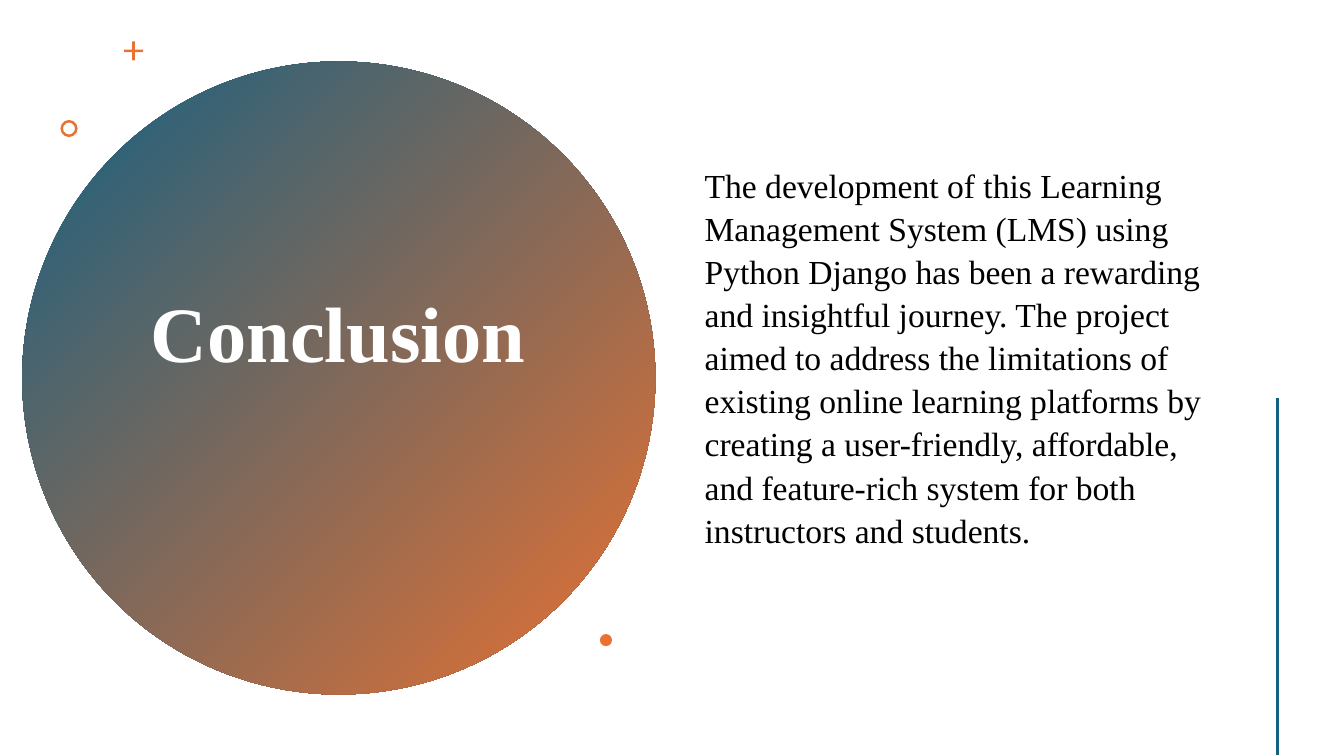
from pptx import Presentation
from pptx.dml.color import RGBColor
from pptx.enum.shapes import MSO_CONNECTOR, MSO_SHAPE
from pptx.enum.text import MSO_ANCHOR, PP_ALIGN
from pptx.oxml.ns import qn
from pptx.util import Inches, Pt
from lxml.etree import SubElement

BLUE, ORANGE, WHITE, BLACK = "156082", "E97132", "FFFFFF", "000000"
CONCLUSION = (
    "The development of this Learning Management System (LMS) using Python Django "
    "has been a rewarding and insightful journey. The project aimed to address the "
    "limitations of existing online learning platforms by creating a user-friendly, "
    "affordable, and feature-rich system for both instructors and students."
)


def color(value):
    return RGBColor.from_string(value)


def apply(target, formats):
    for name, value in formats.items():
        setattr(target, name, value)


class SlideBuilder:
    """Draws styled elements on the current slide."""

    font = "Times New Roman"

    def __init__(self, page):
        self.page = page

    def shape(self, kind, left, top, size, colors, adjustment=None):
        shape = self.page.shapes.add_shape(
            kind, Inches(left), Inches(top), Inches(size), Inches(size))
        shape.shadow.inherit = False
        shape.line.fill.background()
        if adjustment is not None:
            shape.adjustments[0] = adjustment
        if len(colors) == 1:
            shape.fill.solid()
            shape.fill.fore_color.rgb = color(colors[0])
            return
        shape.fill.gradient()
        shape.fill.gradient_angle = 315
        for stop, value in zip(shape.fill.gradient_stops, colors):
            stop.color.rgb = color(value)

    def text(self, words, left, top, width, height, bottom, ink, font, paragraph):
        box = self.page.shapes.add_textbox(
            Inches(left), Inches(top), Inches(width), Inches(height))
        frame = box.text_frame
        apply(frame, {"word_wrap": True, "vertical_anchor": MSO_ANCHOR.MIDDLE,
                      "margin_bottom": Inches(bottom)})
        para = frame.paragraphs[0]
        apply(para, paragraph)
        span = para.add_run()
        span.text = words
        apply(span.font, {"name": self.font, **font})
        span.font.color.rgb = color(ink)

    def line(self, left, top, right, bottom, ink, width):
        line = self.page.shapes.add_connector(
            MSO_CONNECTOR.STRAIGHT, Inches(left), Inches(top),
            Inches(right), Inches(bottom))
        line.line.color.rgb = color(ink)
        line.line.width = Pt(width)
        SubElement(line._element.spPr, qn("a:effectLst"))


def main():
    deck = Presentation()
    apply(deck, {"slide_width": Inches(13.33), "slide_height": Inches(7.5)})
    builder = SlideBuilder(deck.slides.add_slide(deck.slide_layouts[6]))

    builder.shape(MSO_SHAPE.OVAL, 0.22, 0.61, 6.28, [BLUE, ORANGE])
    builder.text("Conclusion", 1.36, 1.41, 3.99, 4.67, 0.85, WHITE,
                 {"size": Pt(56), "bold": True},
                 {"alignment": PP_ALIGN.CENTER, "line_spacing": 0.9})
    builder.shape(MSO_SHAPE.CROSS, 1.23, 0.41, 0.19, [ORANGE], 0.43)
    builder.shape(MSO_SHAPE.DONUT, 0.6, 1.19, 0.17, [ORANGE], 0.15)
    builder.text(CONCLUSION, 6.89, 0.21, 5.22, 7.19, 0.6, BLACK,
                 {"size": Pt(24)},
                 {"alignment": PP_ALIGN.LEFT, "line_spacing": 1.07,
                  "space_before": Pt(10), "space_after": Pt(8)})
    builder.shape(MSO_SHAPE.OVAL, 5.95, 6.29, 0.12, [ORANGE])
    builder.line(12.67, 3.95, 12.67, 7.49, BLUE, 2)

    deck.save("out.pptx")


if __name__ == "__main__":
    main()
